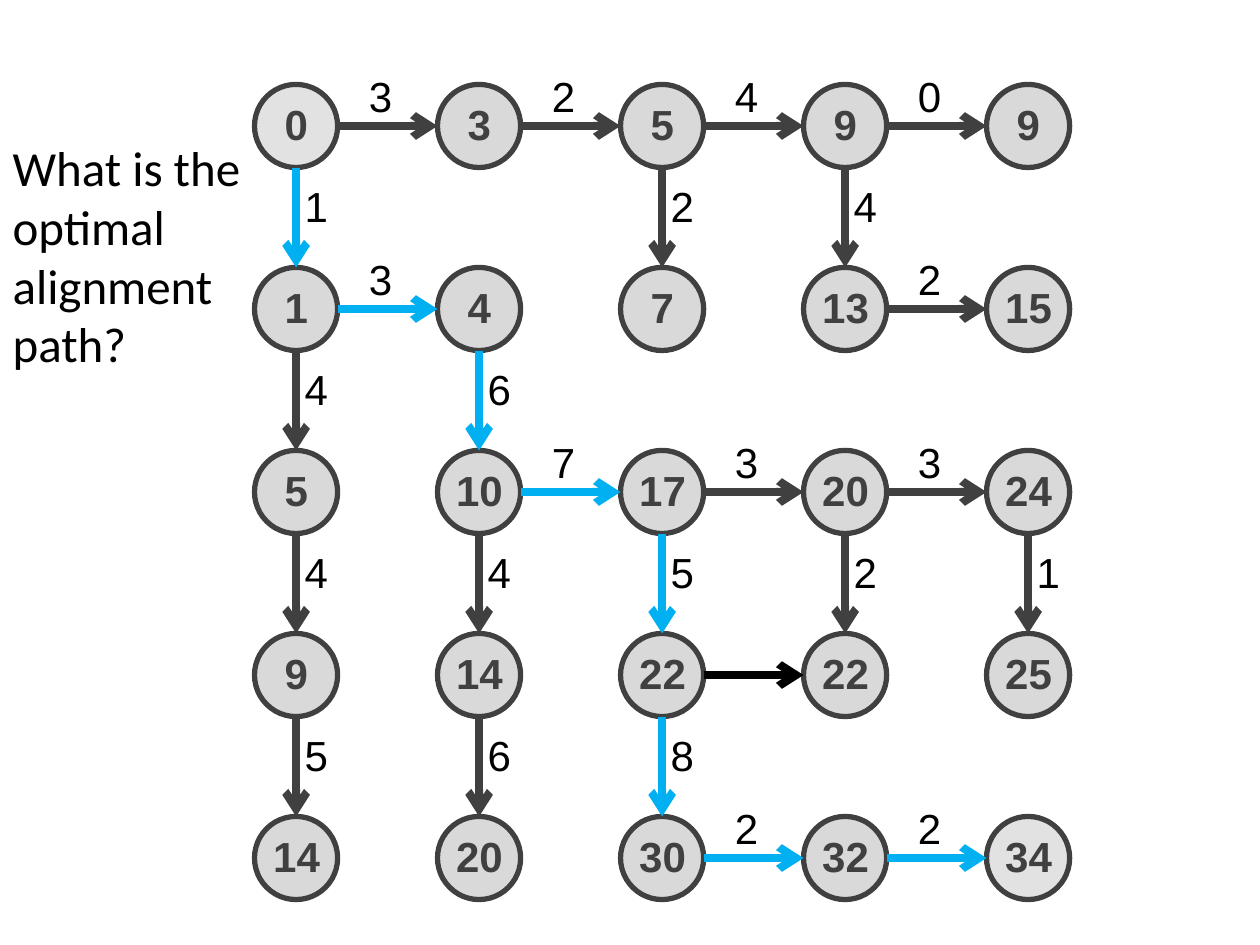
from lxml import etree
from pptx import Presentation
from pptx.dml.color import RGBColor
from pptx.enum.shapes import MSO_CONNECTOR, MSO_SHAPE
from pptx.enum.text import MSO_ANCHOR, MSO_AUTO_SIZE, PP_ALIGN
from pptx.oxml.ns import qn
from pptx.util import Inches, Pt

STRAIGHT = MSO_CONNECTOR.STRAIGHT
OVAL = MSO_SHAPE.OVAL
TOP = MSO_ANCHOR.TOP
GROW = MSO_AUTO_SIZE.SHAPE_TO_FIT_TEXT
LEFT = PP_ALIGN.LEFT

GRID_LEFT, GRID_TOP, STEP, SIZE = 2.02, 0.67, 1.4525, 0.66
DARK, BLACK, BLUE, GREY = "404040", "000000", "00B0F0", "D9D9D9"

SCORES = [
    [0, 3, 5, 9, 9],
    [1, 4, 7, 13, 15],
    [5, 10, 17, 20, 24],
    [9, 14, 22, 22, 25],
    [14, 20, 30, 32, 34],
]
CORNERS = {(0, 0), (4, 4)}
# Edge weights by (row, column) of the node the edge leaves
ACROSS = {
    (0, 0): "3", (0, 1): "2", (0, 2): "4", (0, 3): "0",
    (1, 0): "3", (1, 3): "2",
    (2, 1): "7", (2, 2): "3", (2, 3): "3",
    (3, 2): "",
    (4, 2): "2", (4, 3): "2",
}
DOWN = {
    (0, 0): "1", (0, 2): "2", (0, 3): "4",
    (1, 0): "4", (1, 1): "6",
    (2, 0): "4", (2, 1): "4", (2, 2): "5", (2, 3): "2", (2, 4): "1",
    (3, 0): "5", (3, 1): "6", (3, 2): "8",
}
ACROSS_COLORS = {(3, 2): BLACK} | dict.fromkeys([(1, 0), (2, 1), (4, 2), (4, 3)], BLUE)
DOWN_COLORS = dict.fromkeys([(0, 0), (1, 1), (2, 2), (3, 2)], BLUE)

LABEL = {"name": "Arial", "size": Pt(24), "bold": False}
SCORE = LABEL | {"bold": True}
QUESTION = {"name": "Calibri", "size": Pt(28), "bold": False}


def rgb(color):
    return RGBColor.from_string(color)


def node_corner(row, column):
    return GRID_LEFT + STEP * column, GRID_TOP + STEP * row


class GraphSlide:
    def __init__(self, deck):
        self.slide = deck.slides.add_slide(deck.slide_layouts[5])

    def fill_text(self, shape, text, style, color):
        frame = shape.text_frame
        frame.word_wrap = True
        frame.auto_size = GROW
        frame.vertical_anchor = TOP
        para = frame.paragraphs[0]
        para.alignment = LEFT
        span = para.add_run()
        span.text = text
        for name, value in style.items():
            setattr(span.font, name, value)
        span.font.color.rgb = rgb(color)

    def title(self, text, left, top, width, height):
        title = self.slide.shapes.title
        title.left, title.top = Inches(left), Inches(top)
        title.width, title.height = Inches(width), Inches(height)
        self.fill_text(title, text, QUESTION, BLACK)

    def text(self, text, left, top, width, style, color):
        box = self.slide.shapes.add_textbox(
            Inches(left), Inches(top), Inches(width), Inches(0.5))
        self.fill_text(box, text, style, color)

    def node(self, left, top, translucent):
        circle = self.slide.shapes.add_shape(
            OVAL, Inches(left), Inches(top), Inches(SIZE), Inches(SIZE))
        circle.shadow.inherit = False
        circle.fill.solid()
        circle.fill.fore_color.rgb = rgb(GREY)
        circle.line.color.rgb = rgb(DARK)
        circle.line.width = Pt(3)
        if translucent:
            fill_color = circle._element.spPr.find(qn("a:solidFill"))[0]
            etree.SubElement(fill_color, qn("a:alpha"), val="75000")

    def score(self, value, left, top):
        offset, width = (0.14, 0.29) if value < 10 else (0.05, 0.66)
        self.text(str(value), left + offset, top + 0.06, width, SCORE, DARK)

    def arrow(self, start, end, color):
        connector = self.slide.shapes.add_connector(
            STRAIGHT, *(Inches(length) for length in (*start, *end)))
        connector.line.color.rgb = rgb(color)
        connector.line.width = Pt(4.5)
        properties = connector._element.spPr
        etree.SubElement(properties.find(qn("a:ln")), qn("a:tailEnd"), type="arrow")
        etree.SubElement(properties, qn("a:effectLst"))

    def edge_across(self, left, top, weight, color):
        middle = top + SIZE / 2
        self.arrow((left + SIZE, middle), (left + STEP, middle), color)
        if weight:
            self.text(weight, left + 0.81, top - 0.16, 0.26, LABEL, BLACK)

    def edge_down(self, left, top, weight, color):
        middle = left + SIZE / 2
        self.arrow((middle, top + SIZE), (middle, top + STEP), color)
        self.text(weight, left + 0.3, top + 0.71, 0.26, LABEL, BLACK)


def main():
    deck = Presentation()
    deck.slide_width, deck.slide_height = Inches(10), Inches(7.5)
    graph = GraphSlide(deck)
    graph.title("What is the optimal alignment path?", 0, 1.04, 2.05, 1.99)

    for row, scores in enumerate(SCORES):
        for column, value in enumerate(scores):
            corner = node_corner(row, column)
            graph.node(*corner, (row, column) in CORNERS)
            graph.score(value, *corner)
    for place, weight in ACROSS.items():
        graph.edge_across(*node_corner(*place), weight, ACROSS_COLORS.get(place, DARK))
    for place, weight in DOWN.items():
        graph.edge_down(*node_corner(*place), weight, DOWN_COLORS.get(place, DARK))

    deck.save("out.pptx")


if __name__ == "__main__":
    main()
